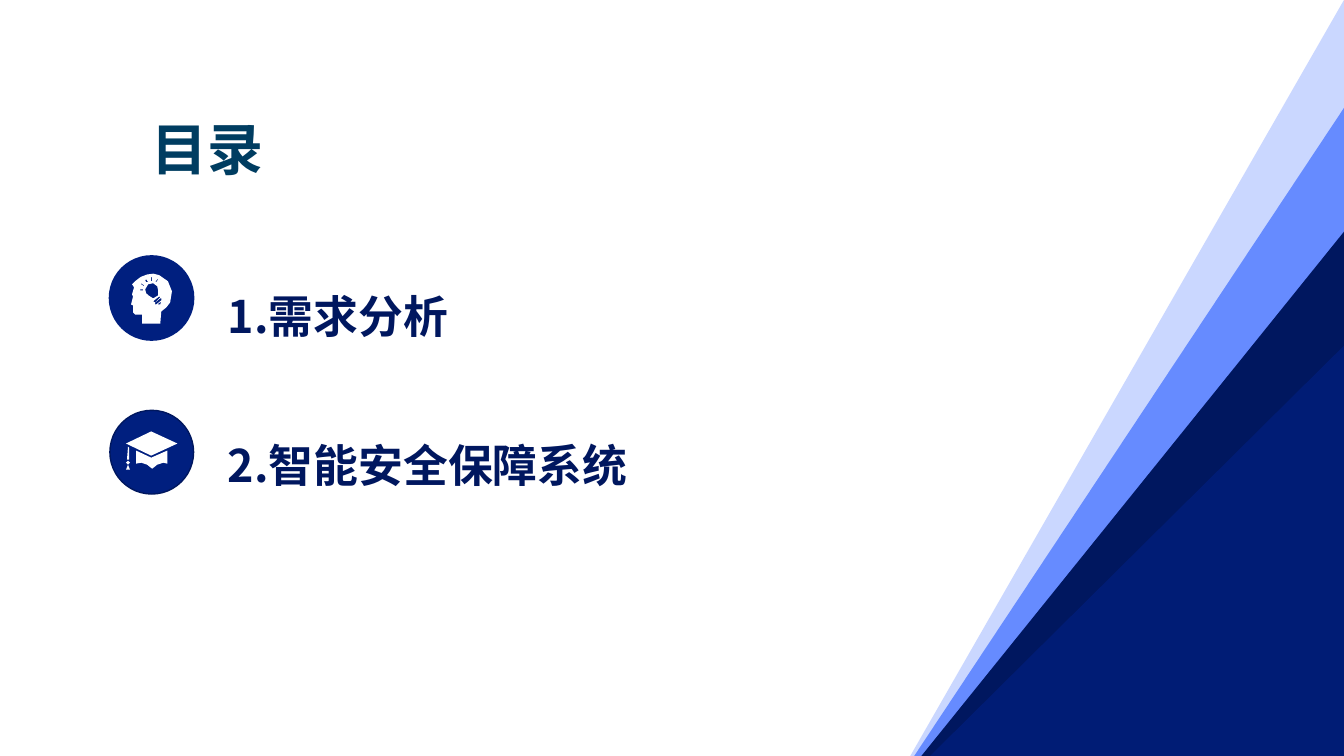
import pptx
import pptx.dml.color
import pptx.enum.shapes
import pptx.enum.text
import pptx.util
from lxml import etree
from pptx.util import Cm

A = "{http://schemas.openxmlformats.org/drawingml/2006/main}"
HUNDREDTH_INCH = 0.0254  # in cm


def rgb(value):
    return pptx.dml.color.RGBColor.from_string(value)


def outline(contours, unit, fill, opacity=100):
    """Draw closed contours; unit is the size of one coordinate step in cm."""
    paths = [[(x * unit * 1000, y * unit * 1000) for x, y in c] for c in contours]
    fb = s.shapes.build_freeform(*paths[0][0], scale=Cm(1) / 1000)
    fb.add_line_segments(paths[0][1:], close=True)
    for points in paths[1:]:
        fb.move_to(*points[0])
        fb.add_line_segments(points[1:], close=True)
    sp = fb.convert_to_shape()
    sp.shadow.inherit = False
    sp.fill.solid()
    sp.fill.fore_color.rgb = rgb(fill)
    sp.line.fill.background()
    if opacity < 100:
        color = sp.fill._xPr.find(f"{A}solidFill/{A}srgbClr")
        etree.SubElement(color, A + "alpha", val=str(opacity * 1000))


prs = pptx.Presentation()
prs.slide_width, prs.slide_height = Cm(33.87), Cm(19.05)
s = prs.slides.add_slide(prs.slide_layouts[6])

# Layered triangles in the lower right corner
for left, top, fill, opacity in [
    (22.94, 0, "668BFF", 34),
    (23.04, 2.72, "668BFF", 100),
    (23.22, 5.84, "00175F", 100),
    (23.44, 8.71, "001F7F", 71),
]:
    outline([[(left, 19.05), (33.87, 19.05), (33.87, top)]], 1, fill, opacity)

# Title
sp = s.shapes.add_textbox(Cm(3.56), Cm(2.92), Cm(12.6), Cm(1.83))
tf = sp.text_frame
tf.word_wrap = True
tf.vertical_anchor = pptx.enum.text.MSO_ANCHOR.MIDDLE
p = tf.paragraphs[0]
p.text = "目录"
p.line_spacing = 0.9
p.font.name, p.font.size, p.font.bold = "Calibri", pptx.util.Pt(40), True
p.font.color.rgb = rgb("003D61")

# Contents list
sp = s.shapes.add_textbox(Cm(5.49), Cm(5.13), Cm(20.19), Cm(9.96))
tf = sp.text_frame
tf.word_wrap = True
for i, heading in enumerate(["需求分析", "智能安全保障系统"]):
    p = tf.add_paragraph() if i else tf.paragraphs[0]
    p.line_spacing, p.space_before = 2.5, pptx.util.Pt(10)
    p.font.size, p.font.bold = pptx.util.Pt(32), True
    p.font.color.rgb = rgb("00175F")
    for text, font in [(f"{i + 1}.", "Noto Sans CJK SC"), (heading, "Calibri")]:
        r = p.add_run()
        r.text, r.font.name = text, font

# Round icon backgrounds
for left, top, size, line in [(2.74, 6.43, 2.16, None), (2.77, 10.34, 2.11, "00175E")]:
    sp = s.shapes.add_shape(pptx.enum.shapes.MSO_SHAPE.OVAL,
                            Cm(left), Cm(top), Cm(size), Cm(size))
    sp.shadow.inherit = False
    sp.fill.solid()
    sp.fill.fore_color.rgb = rgb("001F7F")
    if line:
        sp.line.color.rgb, sp.line.width = rgb(line), pptx.util.Pt(1)
    else:
        sp.line.fill.background()

# Head with a light bulb
head = [(159, 321), (160, 309), (165, 305), (168.8, 300), (170.6, 289), (166.6, 279),
        (158, 273), (152, 271.5), (146, 272.3), (139.7, 274.7), (134, 279), (131, 282),
        (133, 285), (131, 292), (132, 294), (130, 302), (132, 303), (132, 310),
        (134, 312), (141, 312), (141, 321)]
bulb = [(147, 282), (152, 281), (156, 284), (157, 288.5), (157, 293), (152, 296),
        (148, 293.5), (145, 291), (144, 287)]
bulb_base = [
    [(153, 298), (158, 294), (159, 295), (154, 300), (152, 299)],
    [(154, 300), (159, 296), (160, 296), (160, 298), (155, 302), (154, 302)],
    [(160, 299), (159, 302), (156, 302)],
]
rays = [
    [(142, 288), (139, 288), (139, 287), (142, 287)],
    [(154, 280), (156, 277), (157, 277), (155, 280)],
    [(150, 279), (150, 275), (151, 275), (151, 279)],
    [(143, 284), (140, 282), (140, 281), (143, 283)],
    [(145, 280), (144, 278), (145, 277), (147, 280)],
]
outline([head, bulb] + bulb_base + rays, HUNDREDTH_INCH, "FFFFFF")

# Graduation cap
cap = [
    [(135, 460), (140, 459), (146, 461), (151, 465), (156, 461), (162, 459),
     (166, 460), (166, 447), (150, 454), (135, 447)],
    [(150, 428), (125, 440), (150, 452), (176, 440)],
]
tassel = [
    [(127, 443), (126, 456), (128, 456), (128, 444)],
    [(129, 466), (127, 461), (129, 459), (127, 457), (125, 459), (127, 461), (125, 466)],
]
outline(cap + tassel, HUNDREDTH_INCH, "FFFFFF")

prs.save("out.pptx")
